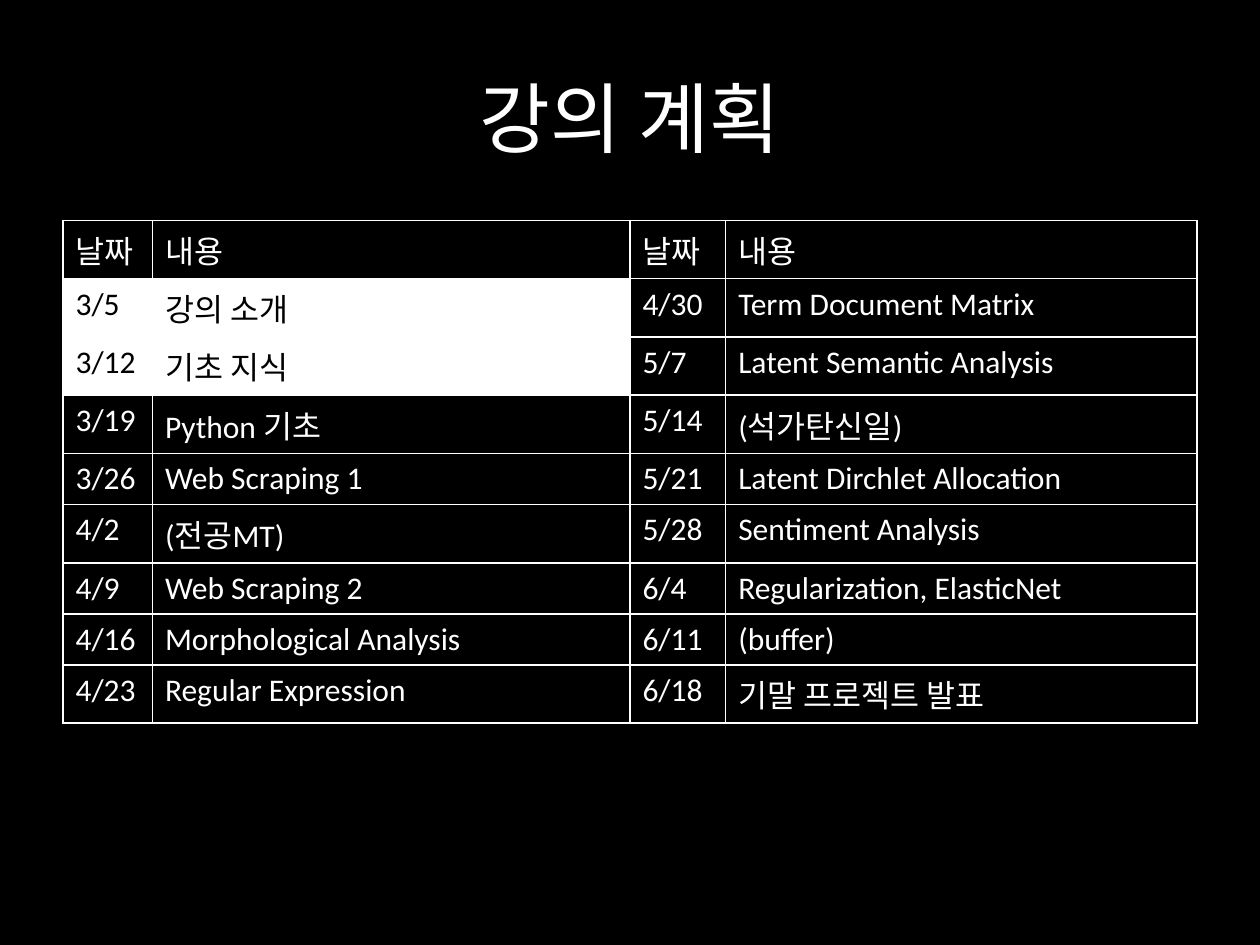
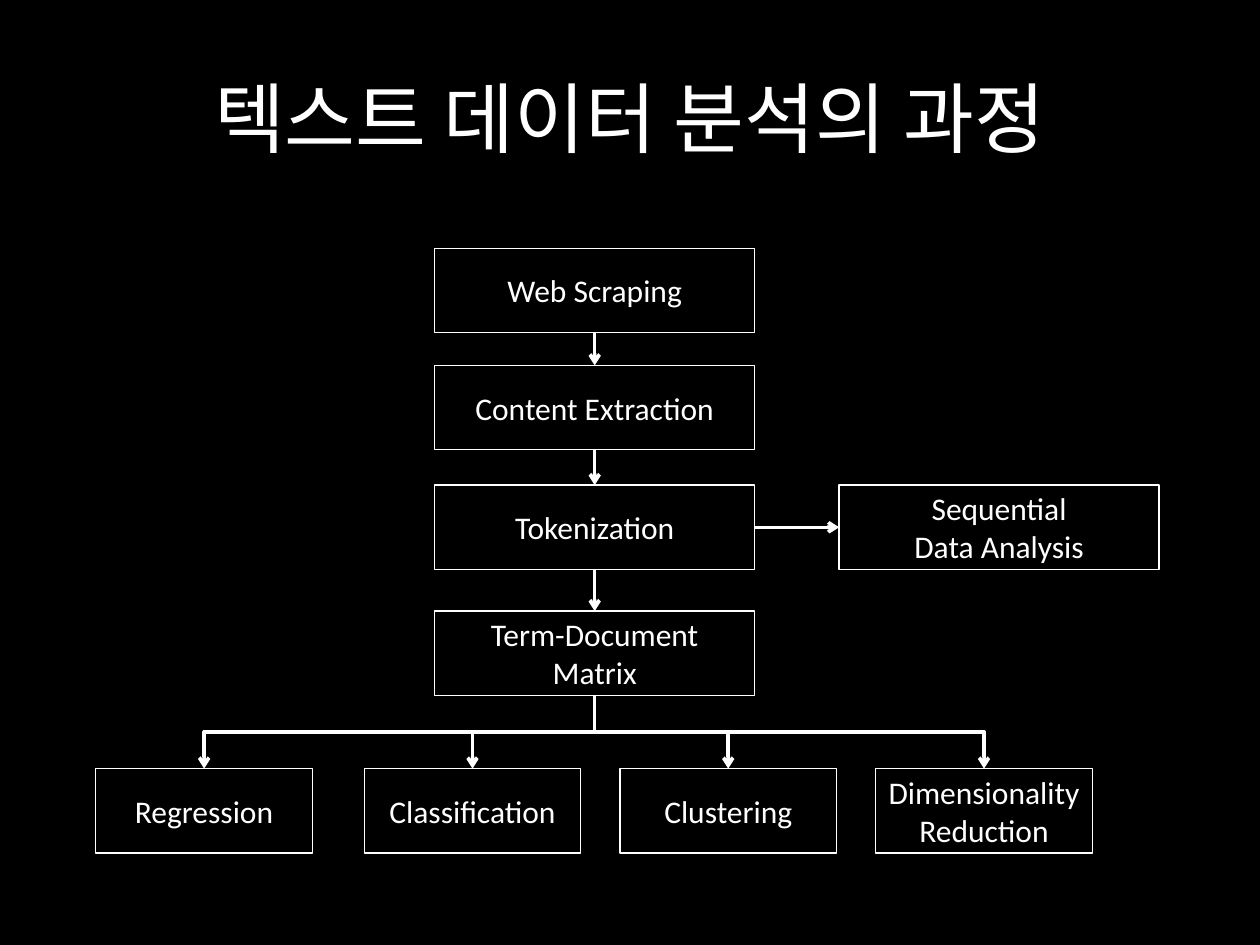
from dataclasses import dataclass

from lxml.etree import SubElement
from pptx import Presentation
from pptx.dml.color import RGBColor
from pptx.enum.shapes import MSO_CONNECTOR, MSO_SHAPE
from pptx.enum.text import MSO_ANCHOR, PP_ALIGN
from pptx.oxml.ns import qn
from pptx.shapes.autoshape import Shape
from pptx.shapes.connector import Connector
from pptx.slide import Slide
from pptx.table import _Cell
from pptx.text.text import TextFrame
from pptx.util import Inches, Pt

BLACK = "000000"
WHITE = "FFFFFF"
FONT = "Calibri"
TITLE_SIZE = 44
BODY_SIZE = 18
GRID_COLUMNS = 40
GRID_ROWS = 30
TITLE_ONLY = 5
TOP, LEFT, BOTTOM, RIGHT = range(4)

presentation = Presentation()
presentation.slide_width = Inches(10)
presentation.slide_height = Inches(7.5)


@dataclass(frozen=True)
class Area:
    column: float
    row: float
    columns: float
    rows: float

    def place(self) -> tuple[int, int, int, int]:
        return across(self.column), down(self.row), across(self.columns), down(self.rows)


@dataclass(frozen=True)
class Step:
    lines: tuple[str, ...]
    area: Area


def across(columns: float) -> int:
    return round(presentation.slide_width * columns / GRID_COLUMNS)


def down(rows: float) -> int:
    return round(presentation.slide_height * rows / GRID_ROWS)


def color(value: str) -> RGBColor:
    return RGBColor.from_string(value)


def write(frame: TextFrame, lines: tuple[str, ...], size: float = BODY_SIZE,
          ink: str = WHITE, alignment: PP_ALIGN = PP_ALIGN.CENTER) -> None:
    for index, line in enumerate(lines):
        paragraph = frame.add_paragraph() if index else frame.paragraphs[0]
        paragraph.alignment = alignment
        run = paragraph.add_run()
        run.text = line
        run.font.name = FONT
        run.font.size = Pt(size)
        run.font.color.rgb = color(ink)


def add_titled_slide(title: str) -> Slide:
    slide = presentation.slides.add_slide(presentation.slide_layouts[TITLE_ONLY])
    placeholder = slide.shapes.title
    placeholder.left, placeholder.top, placeholder.width, placeholder.height = TITLE_AREA.place()
    placeholder.text_frame.vertical_anchor = MSO_ANCHOR.MIDDLE
    write(placeholder.text_frame, (title,), TITLE_SIZE)
    return slide


def outline_cell(cell: _Cell, ink: str, width: float) -> None:
    properties = cell._tc.get_or_add_tcPr()
    for index, side in enumerate(("a:lnL", "a:lnR", "a:lnT", "a:lnB")):
        line = properties.makeelement(qn(side), {"w": str(Pt(width))})
        fill = SubElement(line, qn("a:solidFill"))
        SubElement(fill, qn("a:srgbClr"), {"val": ink})
        properties.insert(index, line)


def add_schedule(slide: Slide, area: Area, widths: tuple[float, ...],
                 rows: list[tuple[str, ...]], highlighted: set[tuple[int, int]]) -> None:
    table = slide.shapes.add_table(len(rows), len(widths), *area.place()).table
    table.first_row = False
    table.horz_banding = False
    for column, width in zip(table.columns, widths):
        column.width = across(width)
    for row_index, texts in enumerate(rows):
        table.rows[row_index].height = down(area.rows / len(rows))
        for column_index, text in enumerate(texts):
            cell = table.cell(row_index, column_index)
            is_highlighted = (row_index, column_index) in highlighted
            paper, ink = (WHITE, BLACK) if is_highlighted else (BLACK, WHITE)
            cell.fill.solid()
            cell.fill.fore_color.rgb = color(paper)
            outline_cell(cell, WHITE, 1)
            write(cell.text_frame, (text,), ink=ink, alignment=PP_ALIGN.LEFT)


def add_step(slide: Slide, step: Step) -> Shape:
    shape = slide.shapes.add_shape(MSO_SHAPE.RECTANGLE, *step.area.place())
    shape.shadow.inherit = False
    shape.fill.solid()
    shape.fill.fore_color.rgb = color(BLACK)
    shape.line.color.rgb = color(WHITE)
    shape.line.width = Pt(0.75)
    frame = shape.text_frame
    frame.word_wrap = True
    frame.margin_left = frame.margin_right = Inches(0.05)
    frame.vertical_anchor = MSO_ANCHOR.MIDDLE
    write(frame, step.lines)
    return shape


def style_arrow(connector: Connector) -> None:
    connector.line.color.rgb = color(WHITE)
    connector.line.width = Pt(2)
    SubElement(connector.line._get_or_add_ln(), qn("a:tailEnd"), {"type": "arrow"})
    SubElement(connector._element.spPr, qn("a:effectLst"))


def add_arrow(slide: Slide, source: Shape, source_side: int,
              target: Shape, target_side: int) -> None:
    connector = slide.shapes.add_connector(MSO_CONNECTOR.STRAIGHT, 0, 0, 0, 0)
    connector.begin_connect(source, source_side)
    connector.end_connect(target, target_side)
    style_arrow(connector)


def add_branch(slide: Slide, source: Shape, target: Shape) -> None:
    start_x = source.left + source.width // 2
    start_y = source.top + source.height
    end_x = target.left + target.width // 2
    drop = target.top - start_y
    reach = abs(end_x - start_x)
    goes_left = end_x < start_x
    left = (start_x + end_x - drop) // 2
    top = (start_y + target.top - reach) // 2
    begin_x, finish_x = (left, left + drop) if goes_left else (left + drop, left)
    connector = slide.shapes.add_connector(
        MSO_CONNECTOR.ELBOW, begin_x, top, finish_x, top + reach)
    quarter_turns = 1 if goes_left else 3
    connector._element.spPr.xfrm.set("rot", str(quarter_turns * 90 * 60000))
    style_arrow(connector)


TITLE_AREA = Area(2, 1.2, 36, 5)
SCHEDULE_AREA = Area(2, 7, 36, 14.58)
SCHEDULE_WIDTHS = (2.84, 15.16, 3.04, 14.96)
SCHEDULE = [
    ("날짜", "내용", "날짜", "내용"),
    ("3/5", "강의 소개", "4/30", "Term Document Matrix"),
    ("3/12", "기초 지식", "5/7", "Latent Semantic Analysis"),
    ("3/19", "Python 기초", "5/14", "(석가탄신일)"),
    ("3/26", "Web Scraping 1", "5/21", "Latent Dirchlet Allocation"),
    ("4/2", "(전공MT)", "5/28", "Sentiment Analysis"),
    ("4/9", "Web Scraping 2", "6/4", "Regularization, ElasticNet"),
    ("4/16", "Morphological Analysis", "6/11", "(buffer)"),
    ("4/23", "Regular Expression", "6/18", "기말 프로젝트 발표"),
]
HIGHLIGHTED = {(row, column) for row in (1, 2) for column in (0, 1)}

STEP_COLUMN, STEP_WIDTH, STEP_HEIGHT = 13.8, 10.16, 2.68
TOKEN_ROW = 15.4
MAIN_STEPS = [
    Step(lines, Area(STEP_COLUMN, row, STEP_WIDTH, STEP_HEIGHT))
    for lines, row in (
        (("Web Scraping",), 7.88),
        (("Content Extraction",), 11.6),
        (("Tokenization",), TOKEN_ROW),
        (("Term-Document", "Matrix"), 19.4),
    )
]
SIDE_STEP = Step(("Sequential", "Data Analysis"),
                 Area(26.64, TOKEN_ROW, STEP_WIDTH, STEP_HEIGHT))
METHODS = [
    Step(lines, Area(column, 24.4, 6.88, STEP_HEIGHT))
    for lines, column in (
        (("Regression",), 3.04),
        (("Classification",), 11.56),
        (("Clustering",), 19.68),
        (("Dimensionality", "Reduction"), 27.8),
    )
]

background = presentation.slide_master.background.fill
background.solid()
background.fore_color.rgb = color(BLACK)

plan_slide = add_titled_slide("강의 계획")
add_schedule(plan_slide, SCHEDULE_AREA, SCHEDULE_WIDTHS, SCHEDULE, HIGHLIGHTED)

process_slide = add_titled_slide("텍스트 데이터 분석의 과정")
main_shapes = [add_step(process_slide, step) for step in MAIN_STEPS]
side_shape = add_step(process_slide, SIDE_STEP)
method_shapes = [add_step(process_slide, step) for step in METHODS]
for method_shape in method_shapes:
    add_branch(process_slide, main_shapes[-1], method_shape)
for upper, lower in zip(main_shapes, main_shapes[1:]):
    add_arrow(process_slide, upper, BOTTOM, lower, TOP)
add_arrow(process_slide, main_shapes[2], RIGHT, side_shape, LEFT)

presentation.save("out.pptx")
